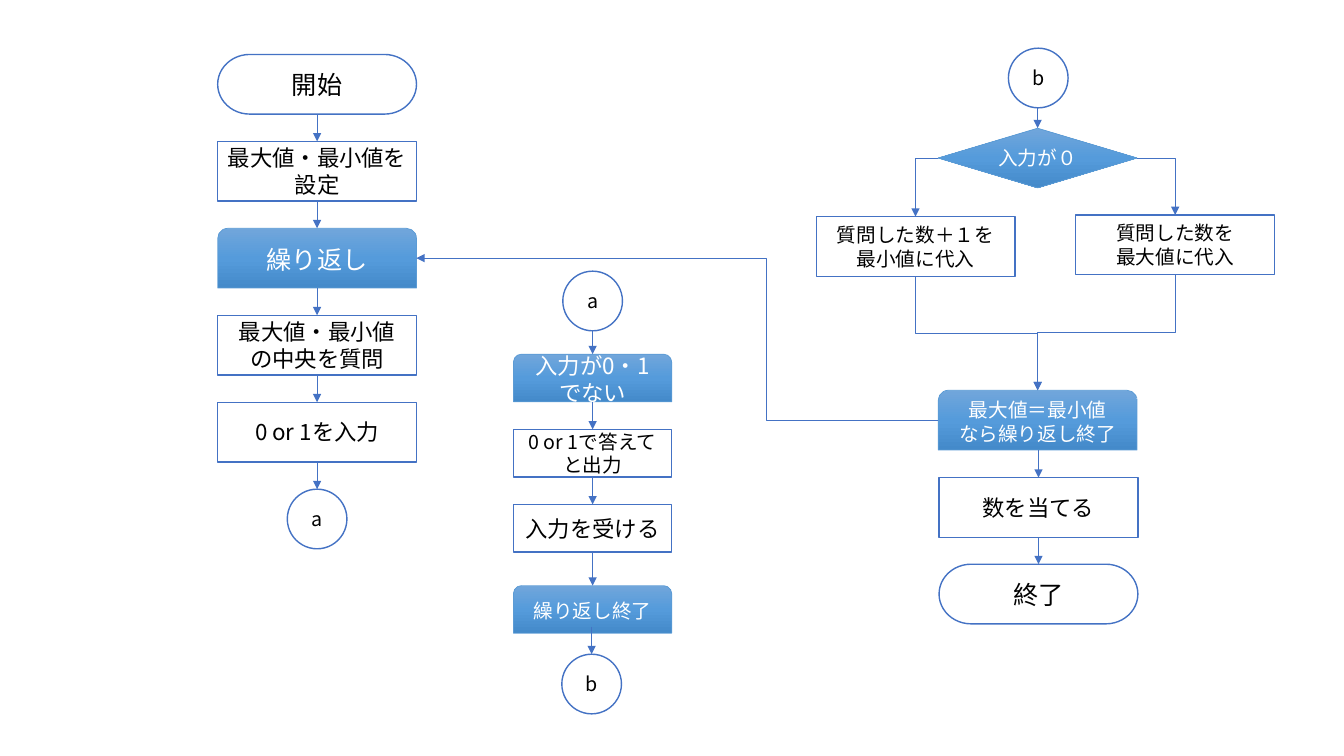
import copy

import pptx
import pptx.dml.color
import pptx.enum.shapes
import pptx.enum.text
import pptx.oxml.ns
import pptx.oxml.xmlchemy
import pptx.util

Pt = pptx.util.Pt
qn = pptx.oxml.ns.qn
MSO = pptx.enum.shapes.MSO_SHAPE
CONNECTOR = pptx.enum.shapes.MSO_CONNECTOR


def rgb(value):
    return pptx.dml.color.RGBColor.from_string(value)


def xml(tag, **attributes):
    element = pptx.oxml.xmlchemy.OxmlElement(tag)
    for name, value in attributes.items():
        element.set(name, value)
    return element


class Flowchart:
    font = "Noto Sans CJK JP"
    outline, loop_outline = "4472C4", "5B9BD5"
    gradient = ((0, "71A6DB"), (0.5, "559BDB"), (1, "448ACA"))

    def __init__(self, slide):
        self.s = slide

    def node(self, kind, text, size, cx, top, w, h, filled=False):
        """Add a shape centred on cx; filled gives the blue gradient look."""
        sp = self.s.shapes.add_shape(kind, Pt(cx - w / 2), Pt(top), Pt(w), Pt(h))
        sp.shadow.inherit = False
        if filled:
            self.fill_gradient(sp)
        else:
            sp.fill.solid()
            sp.fill.fore_color.rgb = rgb("FFFFFF")
        sp.line.color.rgb = rgb(self.loop_outline if filled else self.outline)
        sp.line.width = Pt(0.5 if filled else 1)
        tf = sp.text_frame
        tf.word_wrap = True
        tf.vertical_anchor = pptx.enum.text.MSO_ANCHOR.MIDDLE
        tf.text = text
        for p in tf.paragraphs:
            p.alignment = pptx.enum.text.PP_ALIGN.CENTER
            for r in p.runs:
                r.font.size = Pt(size)
                r.font.name = self.font
                r.font.color.rgb = rgb("FFFFFF" if filled else "000000")
                latin = r.font._element.find(qn("a:latin"))
                latin.addnext(xml("a:ea", typeface=self.font))
        return sp

    def fill_gradient(self, sp):
        sp.fill.gradient()
        sp.fill.gradient_angle = 270
        first = sp.element.spPr.find(".//" + qn("a:gs"))
        first.addnext(copy.deepcopy(first))
        for stop, (position, color) in zip(sp.fill.gradient_stops, self.gradient):
            stop.position = position
            stop.color.rgb = rgb(color)

    def connector(self, kind, x1, y1, x2, y2):
        c = self.s.shapes.add_connector(kind, *(int(v) for v in (x1, y1, x2, y2)))
        c.line.color.rgb = rgb(self.outline)
        c.line.width = Pt(0.5)
        c.element.spPr.find(qn("a:ln")).append(xml("a:tailEnd", type="triangle"))
        c.element.spPr.append(xml("a:effectLst"))
        return c

    def down(self, a, b, overlap=0):
        """Straight arrow from the bottom of a to the top of b."""
        x = b.left + b.width / 2
        self.connector(CONNECTOR.STRAIGHT, x, a.top + a.height - Pt(overlap), x, b.top)

    def branch(self, a, b):
        """One bend: from the side of a to the top of b."""
        x = b.left + b.width / 2
        start = a.left if x < a.left else a.left + a.width
        c = self.connector(CONNECTOR.ELBOW, start, a.top + a.height / 2, x, b.top)
        c.element.spPr.find(qn("a:prstGeom")).set("prst", "bentConnector2")

    def merge(self, a, b):
        """Two bends, leaving downwards: an elbow turned by 90 degrees."""
        x1, y1 = a.left + a.width / 2, a.top + a.height
        x2, y2 = b.left + b.width / 2, b.top
        cx, cy, dx, dy = (x1 + x2) / 2, (y1 + y2) / 2, x2 - x1, y2 - y1
        c = self.connector(CONNECTOR.ELBOW, cx - dy / 2, cy + dx / 2,
                           cx + dy / 2, cy - dx / 2)
        c.element.spPr.find(qn("a:xfrm")).set("rot", str(90 * 60000))

    def loop_back(self, a, b, bend):
        """Two bends, from the left of a to the right of b."""
        c = self.connector(CONNECTOR.ELBOW, a.left, a.top + a.height / 2,
                           b.left + b.width, b.top + b.height / 2)
        guides = c.element.spPr.find(".//" + qn("a:avLst"))
        guides.append(xml("a:gd", name="adj1", fmla=f"val {round(bend * 100000)}"))


prs = pptx.Presentation()
prs.slide_width, prs.slide_height = Pt(960), Pt(540)
chart = Flowchart(prs.slides.add_slide(prs.slide_layouts[6]))

TERMINAL, PROCESS = MSO.FLOWCHART_TERMINATOR, MSO.FLOWCHART_PROCESS
LOOP, JUMP = MSO.ROUND_2_SAME_RECTANGLE, MSO.FLOWCHART_CONNECTOR
W, H = 142, 42.6
SMALL_W, SMALL_H = 113, 34

# Main column: evenly spaced steps
main = []
for i, (kind, text, size) in enumerate((
        (TERMINAL, "開始", 18),
        (PROCESS, "最大値・最小値を設定", 16),
        (LOOP, "繰り返し", 18),
        (PROCESS, "最大値・最小値\nの中央を質問", 16),
        (PROCESS, "0 or 1を入力", 16),
        (JUMP, "a", 14))):
    main.append(chart.node(kind, text, size, 226.5, 38.9 + 62.1 * i,
                           H if kind == JUMP else W, H, kind == LOOP))

# Input check column
check = [chart.node(JUMP, "a", 14, 423.3, 193.7, H, H)]
for kind, text, size, top in (
        (LOOP, "入力が0・1でない", 16, 253),
        (PROCESS, "0 or 1で答えて\nと出力", 14, 306.7),
        (PROCESS, "入力を受ける", 16, 360.3),
        (LOOP, "繰り返し終了", 14, 418.3)):
    check.append(chart.node(kind, text, size, 423.3, top, SMALL_W, SMALL_H, kind == LOOP))
jump_b = chart.node(JUMP, "b", 14, 422.6, 467.3, H, H)

# Decision column
entry_b = chart.node(JUMP, "b", 14, 741.6, 34.4, H, H)
decision = chart.node(MSO.FLOWCHART_DECISION, "入力が０", 14, 741.2, 91.6, W, H, True)
set_min = chart.node(PROCESS, "質問した数＋１を\n最小値に代入", 14, 654, 154.8, W, H)
set_max = chart.node(PROCESS, "質問した数を\n最大値に代入", 14, 839.4, 153.6, W, H)
loop_end = chart.node(LOOP, "最大値＝最小値\nなら繰り返し終了", 14, 741.2, 278.8, W, H, True)
answer = chart.node(PROCESS, "数を当てる", 16, 741.8, 341.2, W, H)
finish = chart.node(TERMINAL, "終了", 18, 741.8, 403, W, H)

# Arrows
for column in (main, check, [entry_b, decision], [loop_end, answer, finish]):
    for a, b in zip(column, column[1:]):
        chart.down(a, b)
chart.down(check[-1], jump_b, overlap=4.5)
for side in (set_min, set_max):
    chart.branch(decision, side)
    chart.merge(side, loop_end)
chart.loop_back(loop_end, main[2], 0.33)

prs.save("out.pptx")
